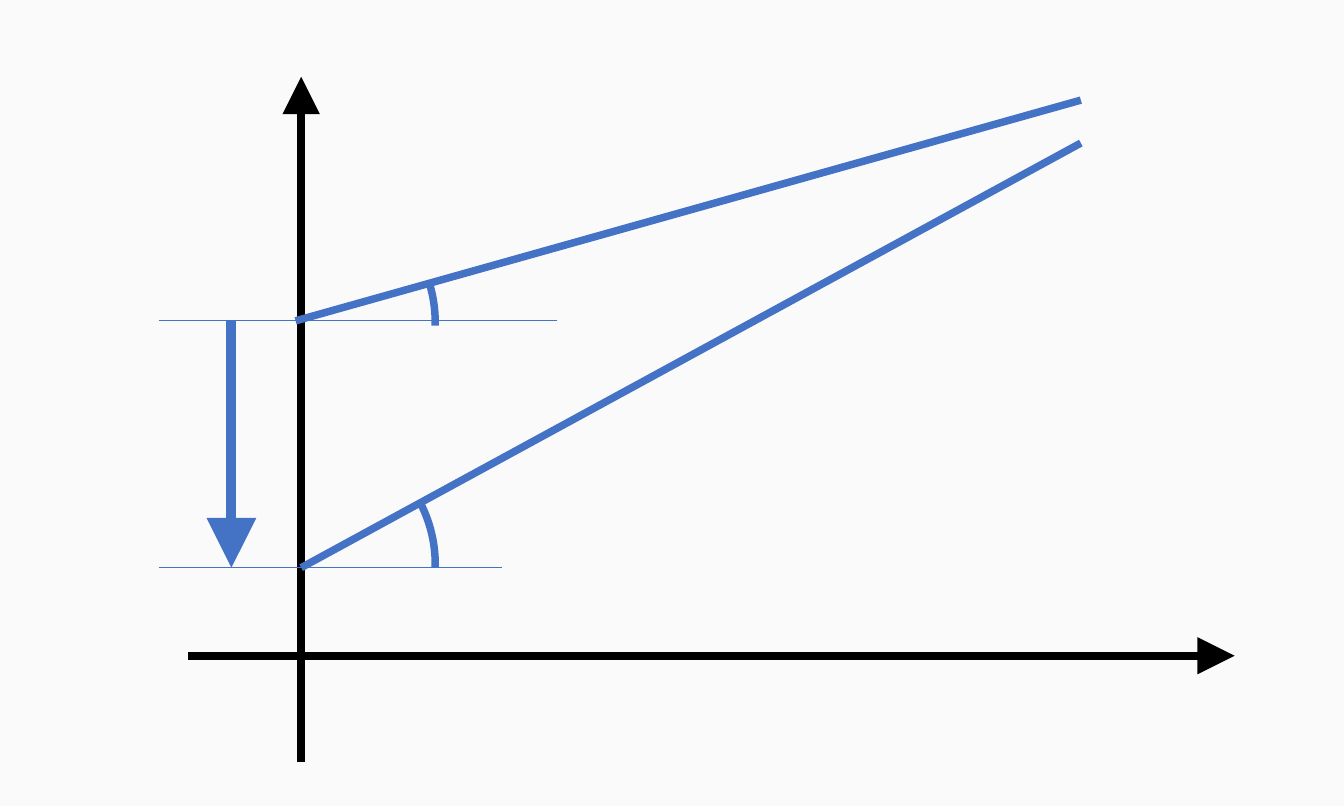
from typing import NamedTuple

from lxml.etree import SubElement
from pptx import Presentation
from pptx.dml.color import RGBColor
from pptx.enum.shapes import MSO_CONNECTOR, MSO_SHAPE
from pptx.oxml.ns import qn
from pptx.slide import Slide
from pptx.util import Cm, Pt

COLORS = {"background": "FAFAFA", "axis": "000000", "line": "4472C4"}

# Shared positions, in centimetres
AXIS_X, AXIS_Y = 4.27, 9.3
UPPER_Y, LOWER_Y = 4.55, 8.05
GUIDE_LEFT, SHIFT_X, SLOPE_RIGHT = 2.26, 3.28, 15.32
ARC_LEFT, ARC_SIZE = 2.36, 3.81


class Line(NamedTuple):
    x1: float
    y1: float
    x2: float
    y2: float
    color: str = "line"
    width: float = 3
    arrow: bool = False


class AngleArc(NamedTuple):
    top: float
    start: float


LINES = [
    Line(2.67, AXIS_Y, 17.5, AXIS_Y, "axis", arrow=True),
    Line(AXIS_X, 10.8, AXIS_X, 1.09, "axis", arrow=True),
    Line(AXIS_X, LOWER_Y, SLOPE_RIGHT, 2.03),
    Line(4.19, UPPER_Y, SLOPE_RIGHT, 1.42),
    Line(7.9, UPPER_Y, GUIDE_LEFT, UPPER_Y, width=0.5),
    Line(7.11, LOWER_Y, GUIDE_LEFT, LOWER_Y, width=0.5),
    Line(SHIFT_X, UPPER_Y, SHIFT_X, LOWER_Y, width=4, arrow=True),
]
ARCS = [AngleArc(2.67, 205.94), AngleArc(6.1, 200.16)]
ARC_END = 0.77


def draw_line(page: Slide, line: Line) -> None:
    connector = page.shapes.add_connector(
        MSO_CONNECTOR.STRAIGHT, Cm(line.x1), Cm(line.y1), Cm(line.x2), Cm(line.y2)
    )
    connector.line.color.rgb = RGBColor.from_string(COLORS[line.color])
    connector.line.width = Pt(line.width)
    properties = connector._element.spPr
    if line.arrow:
        outline = properties.find(qn("a:ln"))
        SubElement(outline, qn("a:tailEnd"), type="triangle", w="lg", len="lg")
    SubElement(properties, qn("a:effectLst"))


def draw_arc(page: Slide, arc: AngleArc) -> None:
    shape = page.shapes.add_shape(
        MSO_SHAPE.ARC, Cm(ARC_LEFT), Cm(arc.top), Cm(ARC_SIZE), Cm(ARC_SIZE)
    )
    shape.adjustments[0] = arc.start
    shape.adjustments[1] = ARC_END
    shape.shadow.inherit = False
    shape.fill.background()
    shape.line.color.rgb = RGBColor.from_string(COLORS["line"])
    shape.line.width = Pt(3)


def main() -> None:
    deck = Presentation()
    deck.slide_width, deck.slide_height = Cm(19.05), Cm(11.43)
    page = deck.slides.add_slide(deck.slide_layouts[6])
    page.background.fill.solid()
    page.background.fill.fore_color.rgb = RGBColor.from_string(COLORS["background"])
    for line in LINES:
        draw_line(page, line)
    for arc in ARCS:
        draw_arc(page, arc)
    deck.save("out.pptx")


if __name__ == "__main__":
    main()
